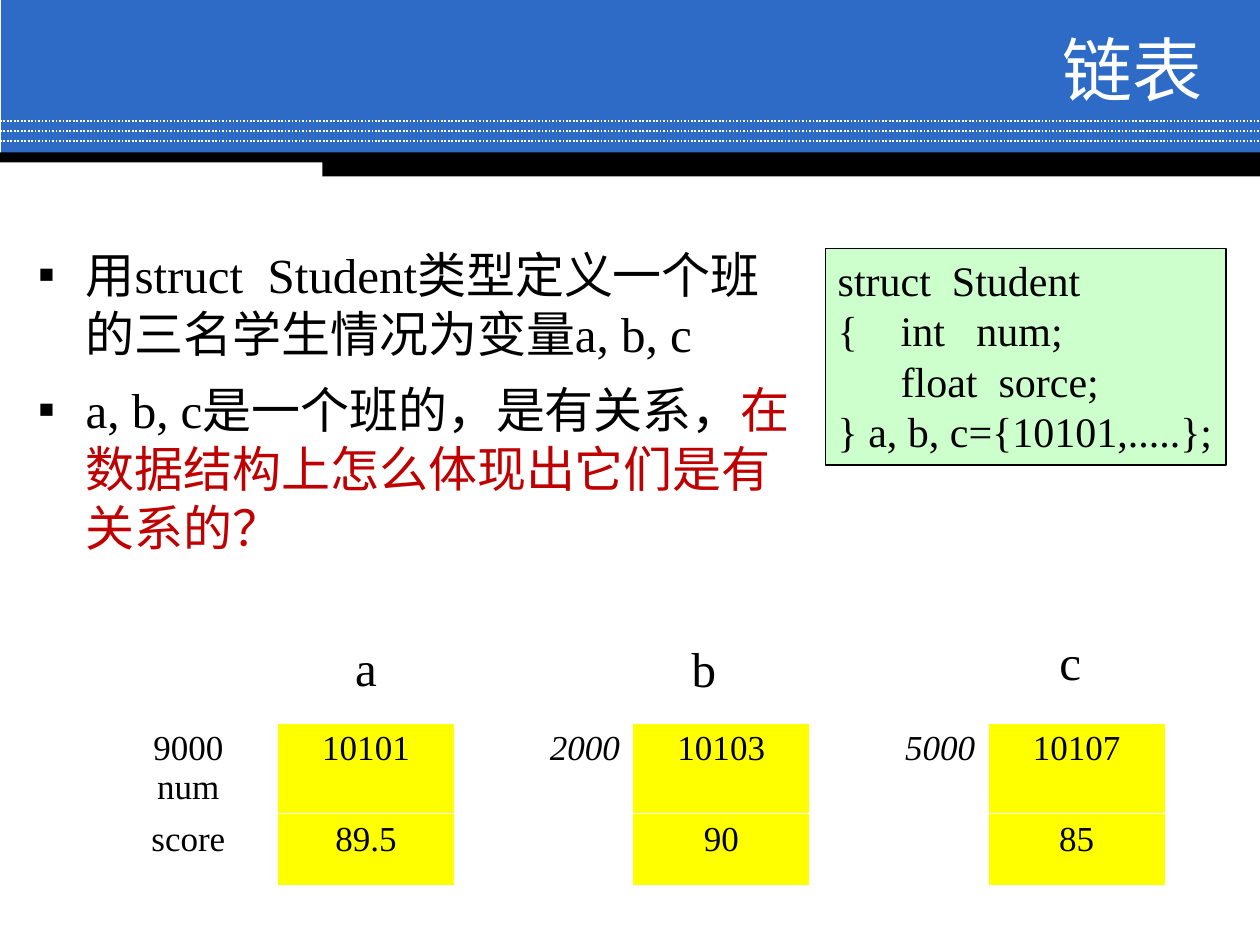
from pptx import Presentation
from pptx.dml.color import RGBColor
from pptx.enum.dml import MSO_LINE
from pptx.enum.shapes import MSO_CONNECTOR, MSO_SHAPE
from pptx.enum.text import MSO_ANCHOR, MSO_AUTO_SIZE, PP_ALIGN
from pptx.oxml import parse_xml
from pptx.oxml.ns import nsdecls
from pptx.util import Inches, Pt

BLUE = RGBColor(0x2D, 0x6B, 0xC7)
WHITE = RGBColor(0xFF, 0xFF, 0xFF)
BLACK = RGBColor(0, 0, 0)
GREEN = RGBColor(0xCC, 0xFF, 0xCC)
YELLOW = RGBColor(0xFF, 0xFF, 0)
RED = RGBColor(0xC0, 0, 0)
SERIF, SANS = "Times New Roman", "Arial"
LEFT, CENTER, RIGHT = PP_ALIGN.LEFT, PP_ALIGN.CENTER, PP_ALIGN.RIGHT
TOP, MIDDLE = MSO_ANCHOR.TOP, MSO_ANCHOR.MIDDLE
NO_FIT = MSO_AUTO_SIZE.NONE
RECTANGLE, STRAIGHT = MSO_SHAPE.RECTANGLE, MSO_CONNECTOR.STRAIGHT
DOTTED = MSO_LINE.ROUND_DOT


class SlideBuilder:
    def __init__(self, slide):
        self.slide = slide
        self.shapes = slide.shapes

    def place(self, shape, box):
        shape.left, shape.top, shape.width, shape.height = map(Inches, box)

    def run(self, paragraph, text, size, color=BLACK, font=SERIF, italic=False):
        run = paragraph.add_run()
        run.text = text
        run.font.size = Pt(size)
        run.font.name = font
        run.font.color.rgb = color
        run.font.italic = italic

    def indent(self, paragraph, left, first=0.0):
        properties = paragraph._p.get_or_add_pPr()
        properties.set("marL", str(Inches(left)))
        properties.set("indent", str(Inches(first)))
        return properties

    def bar(self, box, fill, border=None):
        bar = self.shapes.add_shape(RECTANGLE, *map(Inches, box))
        bar.shadow.inherit = False
        bar.fill.solid()
        bar.fill.fore_color.rgb = fill
        if border is None:
            bar.line.fill.background()
        else:
            bar.line.color.rgb = border
            bar.line.width = Pt(0.75)
        return bar

    def dotted_line(self, y):
        line = self.shapes.add_connector(STRAIGHT, 0, Inches(y), Inches(10), Inches(y))
        line.line.color.rgb = WHITE
        line.line.width = Pt(1)
        line.line.dash_style = DOTTED
        line._element.spPr.append(parse_xml(f"<a:effectLst {nsdecls('a')}/>"))

    def title(self, text, box):
        title = self.shapes.title
        self.place(title, box)
        self.shapes._spTree.append(title._element)
        frame = title.text_frame
        frame.auto_size = NO_FIT
        frame.vertical_anchor = MIDDLE
        frame.paragraphs[0].alignment = RIGHT
        self.run(frame.paragraphs[0], text, 40, WHITE, SANS)

    def bullets(self, items, box):
        body = self.slide.placeholders[1]
        self.place(body, box)
        frame = body.text_frame
        frame.auto_size = NO_FIT
        frame.margin_top = Inches(0.18)
        for index, parts in enumerate(items):
            paragraph = frame.add_paragraph() if index else frame.paragraphs[0]
            paragraph.space_before = Pt(10 if index else 0)
            properties = self.indent(paragraph, 0.38, -0.38)
            properties.append(parse_xml(f'<a:buFont {nsdecls("a")} typeface="{SANS}"/>'))
            properties.append(parse_xml(f'<a:buChar {nsdecls("a")} char="▪"/>'))
            for text, color in parts:
                self.run(paragraph, text, 28, color)

    def code(self, lines, box):
        frame = self.bar(box, GREEN, BLACK).text_frame
        frame.word_wrap = True
        frame.vertical_anchor = TOP
        for index, (text, left, first) in enumerate(lines):
            paragraph = frame.add_paragraph() if index else frame.paragraphs[0]
            paragraph.alignment = LEFT
            self.indent(paragraph, left, first)
            self.run(paragraph, text, 24)

    def label(self, text, x, y):
        label = self.shapes.add_textbox(*map(Inches, (x, y, 0.39, 0.57)))
        label.text_frame.word_wrap = True
        self.run(label.text_frame.paragraphs[0], text, 28)

    def cell_borders(self, cell, sides):
        properties = cell._tc.get_or_add_tcPr()
        for position, side in enumerate(sides):
            properties.insert(position, parse_xml(
                f'<a:{side} {nsdecls("a")} w="{Pt(1)}"><a:solidFill>'
                f'<a:srgbClr val="{WHITE}"/></a:solidFill></a:{side}>'))

    def memory_table(self, rows, box):
        count = len(rows[0])
        table = self.shapes.add_table(len(rows), count, *map(Inches, box)).table
        table.first_row = table.horz_banding = False
        for column in table.columns:
            column.width = Inches(box[2] / count)
        for r, row in enumerate(rows):
            for c, lines in enumerate(row):
                cell = table.cell(r, c)
                is_value = c % 2 == 1
                is_address = c > 0 and not is_value
                if is_value:
                    cell.fill.solid()
                    cell.fill.fore_color.rgb = YELLOW
                    last = c == count - 1
                    self.cell_borders(cell, ["lnR", "lnT", "lnB"] if last else ["lnT", "lnB"])
                else:
                    cell.fill.background()
                for index, text in enumerate(lines):
                    frame = cell.text_frame
                    paragraph = frame.add_paragraph() if index else frame.paragraphs[0]
                    paragraph.alignment = RIGHT if is_address else CENTER
                    self.run(paragraph, text, 20, italic=is_address)


def main():
    deck = Presentation()
    deck.slide_width, deck.slide_height = Inches(10), Inches(7.5)
    page = SlideBuilder(deck.slides.add_slide(deck.slide_layouts[1]))

    page.bar((0.01, 0, 9.99, 1.23), BLUE)
    for step in range(3):
        page.dotted_line(0.96 + 0.08 * step)
    page.bar((0, 1.21, 10, 0.08), BLACK)
    page.bar((2.56, 1.24, 7.44, 0.16), BLACK)
    page.title("链表", (2.72, 0.25, 6.92, 0.58))

    page.bullets([
        [("用struct  Student类型定义一个班的三名学生情况为变量a, b, c", BLACK)],
        [("a, b, c是一个班的，是有关系，", BLACK),
         ("在数据结构上怎么体现出它们是有关系的？", RED)],
    ], (0.2, 1.76, 6.22, 2.87))
    page.code([
        ("struct  Student", 0, 0),
        ("{\tint   num;", 0.5, -0.5),
        ("float  sorce;", 0.5, 0),
        ("} a, b, c={10101,.....};", 0, 0),
    ], (6.55, 1.97, 3.18, 1.72))

    page.memory_table([
        [["9000", "num"], ["10101"], ["2000"], ["10103"], ["5000"], ["10107"]],
        [["score"], ["89.5"], [], ["90"], [], ["85"]],
    ], (0.79, 5.74, 8.46, 1.15))
    for variable, x, y in (("a", 2.72, 5.01), ("b", 5.39, 5.02), ("c", 8.31, 4.96)):
        page.label(variable, x, y)

    deck.save("out.pptx")


if __name__ == "__main__":
    main()
